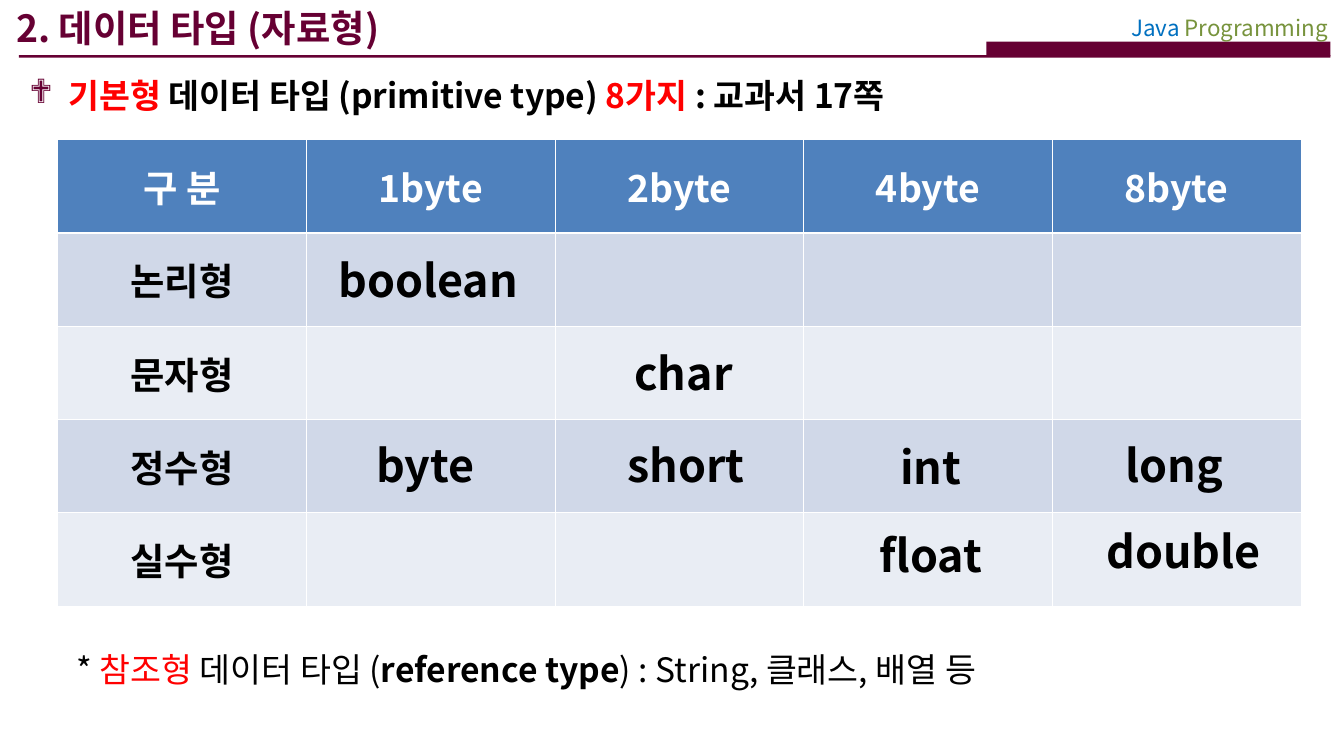
from lxml import etree
from pptx import Presentation
from pptx.dml.color import RGBColor
from pptx.enum.shapes import MSO_SHAPE
from pptx.enum.text import MSO_ANCHOR, MSO_AUTO_SIZE, PP_ALIGN
from pptx.oxml.ns import qn
from pptx.util import Inches, Pt

LEFT, CENTER, RIGHT = PP_ALIGN.LEFT, PP_ALIGN.CENTER, PP_ALIGN.RIGHT
FONT = "Noto Sans CJK KR"
MAROON = RGBColor(0x66, 0x00, 0x33)
RED = RGBColor(0xFF, 0x00, 0x00)
BLACK = RGBColor(0x00, 0x00, 0x00)
WHITE = RGBColor(0xFF, 0xFF, 0xFF)
BLUE = RGBColor(0x00, 0x70, 0xC0)
GREEN = RGBColor(0x77, 0x93, 0x3C)
HEADER_FILL = RGBColor(0x4F, 0x81, 0xBD)
BAND_FILLS = [RGBColor(0xD0, 0xD8, 0xE8), RGBColor(0xE9, 0xED, 0xF4)]

# Content: runs are (text, colour, bold)
BARS = [(7.34, 0.31, 2.56, 0.11), (0.14, 0.41, 9.76, 0.02)]
COURSE = [("Java ", BLUE, False), ("Programming", GREEN, False)]
TITLE = [("2. 데이터 타입 (자료형)", MAROON, True)]
HEADING = [
    ("기본형", RED, True),
    (" 데이터 타입 (primitive type) ", BLACK, True),
    ("8가지 ", RED, True),
    (": 교과서 17쪽", BLACK, True),
]
NOTE = [
    ("* ", BLACK, False),
    ("참조형", RED, False),
    (" 데이터 타입 (", BLACK, False),
    ("reference type", BLACK, True),
    (") : String, 클래스, 배열 등", BLACK, False),
]
SIZES = ["구 분", "1byte", "2byte", "4byte", "8byte"]
KINDS = ["논리형", "문자형", "정수형", "실수형"]
TYPE_NAMES = [  # name, left, top
    ("boolean", 2.4, 1.83),
    ("byte", 2.38, 3.21),
    ("char", 4.3, 2.52),
    ("short", 4.32, 3.21),
    ("long", 7.95, 3.21),
    ("int", 6.14, 3.22),
    ("float", 6.14, 3.88),
    ("double", 8.02, 3.85),
]
TABLE_BOX = (0.43, 1.04, 9.25, 3.47)
THIN, THICK = 0.45, 1.47


def write_runs(paragraph, runs, size, align=LEFT):
    paragraph.alignment = align
    for text, color, bold in runs:
        run = paragraph.add_run()
        run.text = text
        run.font.size = Pt(size)
        run.font.name = FONT
        run.font.bold = bold
        run.font.color.rgb = color
        east_asian = etree.SubElement(run.font._element, qn("a:ea"))
        east_asian.set("typeface", FONT)


def add_text(slide, box, runs, size, align=LEFT, grow=True):
    shape = slide.shapes.add_textbox(*map(Inches, box))
    frame = shape.text_frame
    frame.word_wrap = True
    frame.auto_size = MSO_AUTO_SIZE.SHAPE_TO_FIT_TEXT if grow else MSO_AUTO_SIZE.NONE
    write_runs(frame.paragraphs[0], runs, size, align)
    return frame


def add_bullet(paragraph, character, color):
    properties = paragraph._p.get_or_add_pPr()
    properties.set("marL", str(Inches(0.29)))
    properties.set("indent", str(-Inches(0.29)))
    bullet_color = etree.SubElement(properties, qn("a:buClr"))
    etree.SubElement(bullet_color, qn("a:srgbClr")).set("val", str(color))
    etree.SubElement(properties, qn("a:buFont")).set("typeface", "Wingdings")
    etree.SubElement(properties, qn("a:buChar")).set("char", character)


def style_cell(cell, fill, top_width, bottom_width):
    properties = cell._tc.get_or_add_tcPr()
    widths = {"lnL": THIN, "lnR": THIN, "lnT": top_width, "lnB": bottom_width}
    for side, width in widths.items():
        line = etree.SubElement(properties, qn(f"a:{side}"), w=str(Pt(width)))
        solid = etree.SubElement(line, qn("a:solidFill"))
        etree.SubElement(solid, qn("a:srgbClr")).set("val", str(WHITE))
    cell.fill.solid()
    cell.fill.fore_color.rgb = fill
    cell.vertical_anchor = MSO_ANCHOR.MIDDLE


def add_type_table(slide):
    columns = len(SIZES)
    table = slide.shapes.add_table(
        len(KINDS) + 1, columns, *map(Inches, TABLE_BOX)).table
    table.horz_banding = False
    contents = [SIZES] + [[kind] + [""] * (columns - 1) for kind in KINDS]
    for row, texts in enumerate(contents):
        fill = BAND_FILLS[(row - 1) % 2] if row else HEADER_FILL
        color = BLACK if row else WHITE
        for column, text in enumerate(texts):
            cell = table.cell(row, column)
            style_cell(cell, fill, THICK if row == 1 else THIN,
                       THICK if row == 0 else THIN)
            if text:
                write_runs(cell.text_frame.paragraphs[0],
                           [(text, color, True)], 20, CENTER)


def main():
    presentation = Presentation()
    presentation.slide_width = Inches(10)
    presentation.slide_height = Inches(10 * 9 / 16)
    slide = presentation.slides.add_slide(presentation.slide_layouts[6])

    # Header bars, course name and title
    for bar in BARS:
        shape = slide.shapes.add_shape(MSO_SHAPE.RECTANGLE, *map(Inches, bar))
        shape.shadow.inherit = False
        shape.fill.solid()
        shape.fill.fore_color.rgb = MAROON
        shape.line.fill.background()
    add_text(slide, (7.93, 0.06, 2.05, 0.3), COURSE, 12, RIGHT)
    title = add_text(slide, (0, -0.01, 6.97, 0.41), TITLE, 20, grow=False)
    title.margin_left = Inches(0.12)

    # Bulleted heading
    heading = add_text(slide, (0.12, 0.51, 9.75, 4.78), HEADING, 18, grow=False)
    add_bullet(heading.paragraphs[0], "❖", MAROON)

    # Table with the type names laid over it
    add_type_table(slide)
    for name, left, top in TYPE_NAMES:
        add_text(slide, (left, top, 1.57, 0.5), [(name, BLACK, True)], 24, CENTER)

    # Reference type note
    add_text(slide, (0.47, 4.78, 8.78, 0.4), NOTE, 18)

    presentation.save("out.pptx")


if __name__ == "__main__":
    main()
